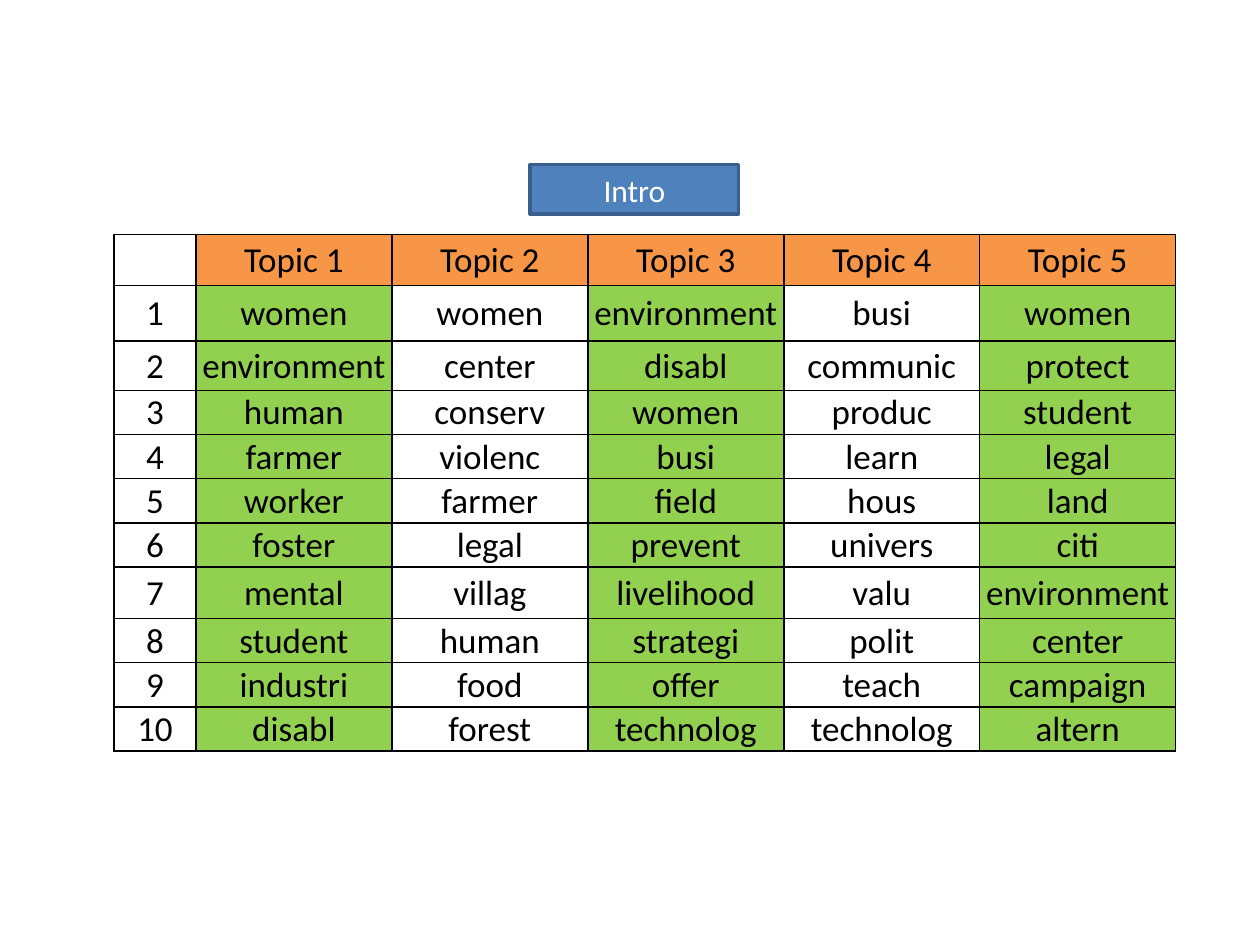
from lxml import etree
from pptx import Presentation
from pptx.dml.color import RGBColor
from pptx.enum.shapes import MSO_SHAPE
from pptx.enum.text import MSO_ANCHOR, PP_ALIGN
from pptx.oxml.ns import qn
from pptx.util import Cm, Pt

RECT = MSO_SHAPE.RECTANGLE
MIDDLE = MSO_ANCHOR.MIDDLE
CENTER = PP_ALIGN.CENTER

FONT = "Calibri"
BLACK, WHITE = "000000", "FFFFFF"
ORANGE, GREEN = "F79646", "92D050"
BLUE, NAVY = "4F81BD", "3A5F8C"

TOPICS = [
    "women environment human farmer worker foster mental student industri disabl",
    "women center conserv violenc farmer legal villag human food forest",
    "environment disabl women busi field prevent livelihood strategi offer technolog",
    "busi communic produc learn hous univers valu polit teach technolog",
    "women protect student legal land citi environment center campaign altern",
]
LOW = 0.89
TALL = {1: 1.11, 2: 1.0, 7: 1.04}
FIRST, WIDE = 1.65, 3.95


def color(code):
    return RGBColor.from_string(code)


def write(frame, text, size, code):
    para = frame.paragraphs[0]
    para.text = text
    para.alignment = CENTER
    para.font.name = FONT
    para.font.size = Pt(size)
    para.font.color.rgb = color(code)


def add_borders(cell):
    props = cell._tc.get_or_add_tcPr()
    for side in ("a:lnL", "a:lnR", "a:lnT", "a:lnB"):
        line = etree.SubElement(props, qn(side), w=str(Pt(1)))
        solid = etree.SubElement(line, qn("a:solidFill"))
        etree.SubElement(solid, qn("a:srgbClr"), val=BLACK)


def style_cell(cell, text, fill):
    add_borders(cell)
    if fill:
        cell.fill.solid()
        cell.fill.fore_color.rgb = color(fill)
    else:
        cell.fill.background()
    if text:
        cell.vertical_anchor = MIDDLE
        cell.margin_left = cell.margin_right = cell.margin_top = Cm(0.02)
        cell.margin_bottom = 0
        write(cell.text_frame, text, 20, BLACK)


def pick_fill(row, col):
    """Orange topic heads, green words under every other topic."""
    if col == 0:
        return None
    if row == 0:
        return ORANGE
    return GREEN if col % 2 else None


def add_topics(slide):
    words = [topic.split() for topic in TOPICS]
    heads = [""] + [f"Topic {n}" for n in range(1, len(words) + 1)]
    ranks = [[str(n), *row] for n, row in enumerate(zip(*words), 1)]
    rows = [heads] + ranks
    highs = [TALL.get(r, LOW) for r in range(len(rows))]
    wides = [FIRST] + [WIDE] * len(words)

    table = slide.shapes.add_table(
        len(rows), len(heads), Cm(2.3), Cm(4.73), Cm(sum(wides)), Cm(sum(highs))
    ).table
    table.first_row = table.horz_banding = False
    for col, wide in zip(table.columns, wides):
        col.width = Cm(wide)
    for r, texts in enumerate(rows):
        table.rows[r].height = Cm(highs[r])
        for c, text in enumerate(texts):
            style_cell(table.cell(r, c), text, pick_fill(r, c))


def add_label(slide, text):
    box = slide.shapes.add_shape(RECT, Cm(10.69), Cm(3.32), Cm(4.2), Cm(1))
    box.shadow.inherit = False
    box.fill.solid()
    box.fill.fore_color.rgb = color(BLUE)
    box.line.color.rgb = color(NAVY)
    box.line.width = Pt(2)
    box.text_frame.vertical_anchor = MIDDLE
    write(box.text_frame, text, 18, WHITE)


def main():
    deck = Presentation()
    deck.slide_width, deck.slide_height = Cm(25.4), Cm(19.05)
    slide = deck.slides.add_slide(deck.slide_layouts[6])
    add_topics(slide)
    add_label(slide, "Intro")
    deck.save("out.pptx")


if __name__ == "__main__":
    main()
